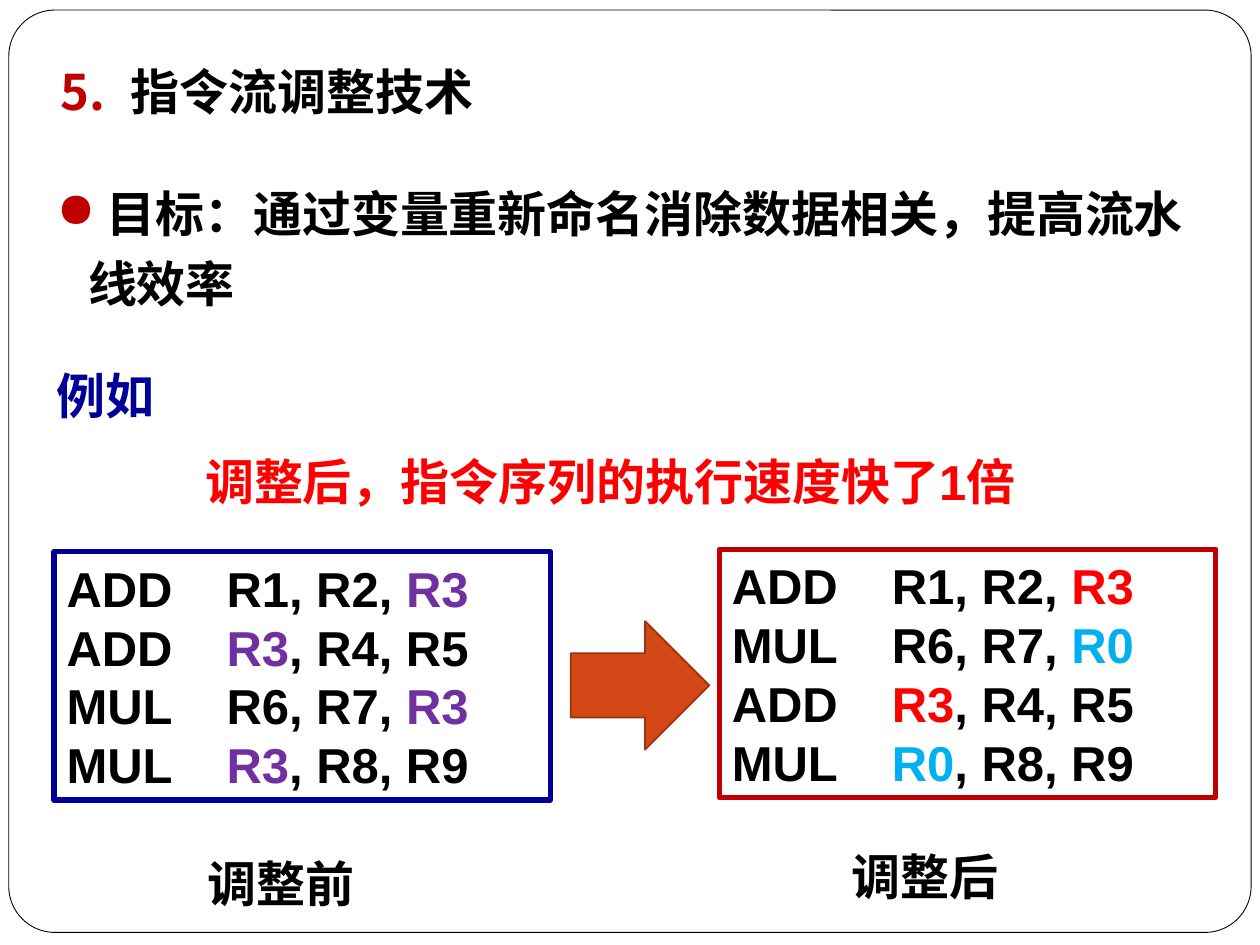
from lxml import etree
from pptx import Presentation
from pptx import util as u
from pptx.dml.color import RGBColor
from pptx.enum import shapes, text
from pptx.oxml import ns

BLACK = RGBColor(0x00, 0x00, 0x00)
WHITE = RGBColor(0xFF, 0xFF, 0xFF)
NAVY = RGBColor(0x00, 0x00, 0x99)
DARK_RED = RGBColor(0xC0, 0x00, 0x00)
RED = RGBColor(0xFF, 0x00, 0x00)
PURPLE = RGBColor(0x70, 0x30, 0xA0)
SKY = RGBColor(0x00, 0xB0, 0xF0)
ORANGE = RGBColor(0xD3, 0x48, 0x17)
BROWN = RGBColor(0x9B, 0x32, 0x0E)

COLUMNS, ROWS = 100, 75
BEFORE = ["ADD R1, R2, R3", "ADD R3, R4, R5", "MUL R6, R7, R3", "MUL R3, R8, R9"]
AFTER = ["ADD R1, R2, R3", "MUL R6, R7, R0", "ADD R3, R4, R5", "MUL R0, R8, R9"]


class LessonSlide:
    font_name = "Arial"
    font_size = u.Pt(28)

    def __init__(self, deck):
        self.slide = deck.slides.add_slide(deck.slide_layouts[6])
        self.column = deck.slide_width / COLUMNS
        self.row = deck.slide_height / ROWS

    def place(self, left, top, width, height):
        """Turn grid columns and rows into slide lengths."""
        return (round(left * self.column), round(top * self.row),
                round(width * self.column), round(height * self.row))

    def add_run(self, paragraph, words, color):
        run = paragraph.add_run()
        run.text = words
        run.font.name = self.font_name
        run.font.size = self.font_size
        run.font.bold = True
        run.font.color.rgb = color

    def shape(self, kind, area, line, weight, fill=None):
        outline = self.slide.shapes.add_shape(kind, *self.place(*area))
        outline.shadow.inherit = False
        if fill is None:
            outline.fill.background()
        else:
            outline.fill.solid()
            outline.fill.fore_color.rgb = fill
        outline.line.color.rgb = line
        outline.line.width = u.Pt(weight)
        return outline

    def heading(self, area, words, color=BLACK, spacing=None, after=None,
                align=text.PP_ALIGN.LEFT, wrap=True):
        box = self.slide.shapes.add_textbox(*self.place(*area))
        box.text_frame.word_wrap = wrap
        box.text_frame.auto_size = text.MSO_AUTO_SIZE.SHAPE_TO_FIT_TEXT
        paragraph = box.text_frame.paragraphs[0]
        paragraph.alignment = align
        paragraph.line_spacing = spacing
        if after:
            paragraph.space_after = u.Pt(after)
        self.add_run(paragraph, words, color)
        return paragraph

    def label(self, area, words, color=BLACK):
        self.heading(area, words, color, spacing=1.35, align=text.PP_ALIGN.JUSTIFY)

    def bullet(self, paragraph, indent, tag, **settings):
        """Hang the paragraph on a dark red bullet or number."""
        properties = paragraph._p.get_or_add_pPr()
        properties.set("marL", str(u.Inches(indent)))
        properties.set("indent", str(-u.Inches(indent)))
        color = etree.SubElement(properties, ns.qn("a:buClr"))
        etree.SubElement(color, ns.qn("a:srgbClr"), val=str(DARK_RED))
        etree.SubElement(properties, ns.qn(tag), **settings)

    def code(self, area, instructions, border, register_colors):
        """List instructions, with operands on a tab stop and marked registers."""
        frame = self.shape(shapes.MSO_SHAPE.RECTANGLE, area, border, 3).text_frame
        frame.word_wrap = True
        frame.vertical_anchor = text.MSO_ANCHOR.MIDDLE
        for index, instruction in enumerate(instructions):
            paragraph = frame.add_paragraph() if index else frame.paragraphs[0]
            paragraph.alignment = text.PP_ALIGN.LEFT
            stops = etree.SubElement(paragraph._p.get_or_add_pPr(), ns.qn("a:tabLst"))
            etree.SubElement(stops, ns.qn("a:tab"), pos=str(u.Inches(1.27)), algn="l")
            line = instruction.replace(" ", "\t", 1)
            register = next(name for name in register_colors if name in line)
            lead, marked, rest = line.partition(register)
            self.add_run(paragraph, lead, BLACK)
            self.add_run(paragraph, marked, register_colors[register])
            if rest:
                self.add_run(paragraph, rest, BLACK)


def main():
    deck = Presentation()
    deck.slide_width, deck.slide_height = u.Inches(10), u.Inches(7.5)
    lesson = LessonSlide(deck)

    border = lesson.shape(shapes.MSO_SHAPE.ROUNDED_RECTANGLE,
                          (0.7, 0.8, 98.6, 73.2), BLACK, 0.5, WHITE)
    border.adjustments[0] = 0.05

    title = lesson.heading((3.8, 4.4, 34.8, 5.7), "指令流调整技术", wrap=False)
    lesson.bullet(title, 0.56, "a:buAutoNum", type="arabicPeriod", startAt="5")
    goal = lesson.heading((3.5, 13.1, 92.9, 12.2),
                          " 目标：通过变量重新命名消除数据相关，提高流水线效率",
                          spacing=1.2, after=12)
    lesson.bullet(goal, 0.25, "a:buChar", char="●")

    lesson.label((3.5, 26.9, 92.5, 7.3), "例如", NAVY)
    lesson.heading((15.3, 34.4, 71.7, 6.6), "调整后，指令序列的执行速度快了1倍",
                   RED, spacing=1.2, after=12)

    lesson.code((4.3, 43.8, 39.4, 19.7), BEFORE, NAVY, {"R3": PURPLE})
    lesson.code((57.1, 43.6, 39.4, 19.7), AFTER, DARK_RED, {"R3": RED, "R0": SKY})
    lesson.label((15.5, 65.6, 15.6, 7.3), "调整前")
    lesson.label((66.6, 65.1, 15.7, 7.3), "调整后")
    lesson.shape(shapes.MSO_SHAPE.RIGHT_ARROW, (45.3, 49.3, 11, 10.2),
                 BROWN, 1, ORANGE)

    deck.save("out.pptx")


if __name__ == "__main__":
    main()
